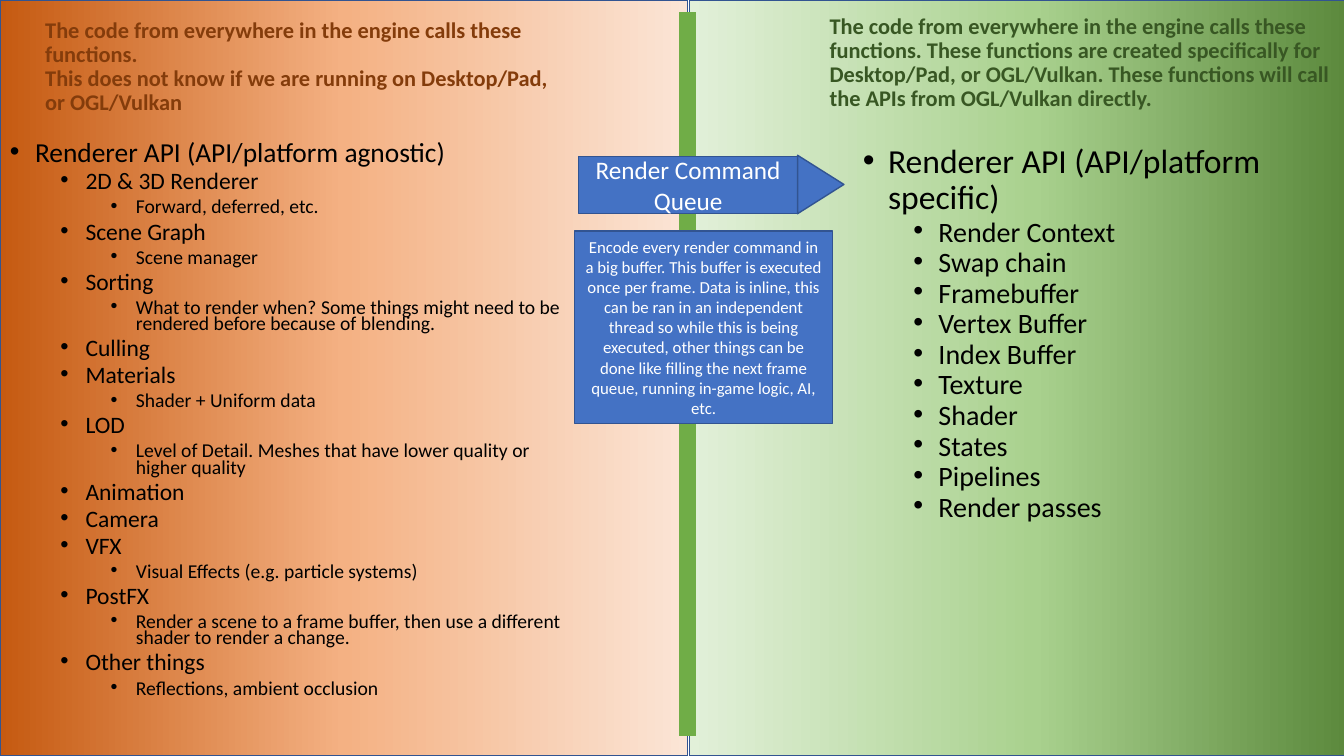
"""Build the slide that sets the agnostic renderer API beside the specific one."""
from copy import deepcopy
from dataclasses import dataclass

from lxml import etree
from pptx import Presentation
from pptx import util as u
from pptx.dml import color
from pptx.enum import shapes, text
from pptx.oxml import ns

RGB = color.RGBColor
DARK_GREEN, GREEN, PALE_GREEN = RGB(0x54, 0x82, 0x35), RGB(0xA9, 0xD1, 0x8E), RGB(0xE2, 0xF0, 0xD9)
PALE_ORANGE, ORANGE, DARK_ORANGE = RGB(0xFB, 0xE5, 0xD6), RGB(0xF4, 0xB1, 0x83), RGB(0xC5, 0x5A, 0x11)
BROWN, FOREST = RGB(0x84, 0x3C, 0x0B), RGB(0x38, 0x57, 0x23)
BLUE, NAVY = RGB(0x44, 0x72, 0xC4), RGB(0x32, 0x54, 0x91)
DIVIDER = RGB(0x70, 0xAD, 0x47)
WHITE, BLACK = RGB(0xFF, 0xFF, 0xFF), RGB(0, 0, 0)
FONT = "Calibri"


@dataclass
class Box:
    left: float
    top: float
    width: float
    height: float

    def emu(self) -> list:
        return [u.Inches(v) for v in (self.left, self.top, self.width, self.height)]


@dataclass
class Panel:
    box: Box
    stops: tuple


@dataclass
class Caption:
    box: Box
    words: str
    color: RGB


@dataclass
class Outline:
    box: Box
    items: list
    sizes: tuple
    head_spacing: float


@dataclass
class Block:
    kind: shapes.MSO_SHAPE
    box: Box
    words: str = ""
    size: float = 18
    rotation: float = 0


PANELS = [
    Panel(Box(6.84, 0, 6.82, 7.5), (DARK_GREEN, GREEN, PALE_GREEN)),
    Panel(Box(0, 0, 6.82, 7.5), (PALE_ORANGE, ORANGE, DARK_ORANGE)),
]
AGNOSTIC_NOTE = Caption(
    Box(0.35, 0.44, 5.28, 0.46),
    "The code from everywhere in the engine calls these functions.\n"
    "This does not know if we are running on Desktop/Pad, or OGL/Vulkan", BROWN)
SPECIFIC_NOTE = Caption(
    Box(8.13, 0.4, 5.28, 0.46),
    "The code from everywhere in the engine calls these functions. These functions are created "
    "specifically for Desktop/Pad, or OGL/Vulkan. These functions will call the APIs from "
    "OGL/Vulkan directly.", FOREST)
SPECIFIC = Outline(
    Box(8.46, 1.38, 5.1, 5.29),
    [(0, "Renderer API (API/platform specific)")] + [(1, name) for name in (
        "Render Context", "Swap chain", "Framebuffer", "Vertex Buffer", "Index Buffer",
        "Texture", "Shader", "States", "Pipelines", "Render passes")],
    (24, 20), 0.9)
AGNOSTIC = Outline(
    Box(0, 1.38, 5.8, 5.67),
    [(0, "Renderer API (API/platform agnostic)"),
     (1, "2D & 3D Renderer"),
     (2, "Forward, deferred, etc."),
     (1, "Scene Graph"),
     (2, "Scene manager"),
     (1, "Sorting"),
     (2, "What to render when? Some things might need to be rendered before because of blending."),
     (1, "Culling"),
     (1, "Materials"),
     (2, "Shader + Uniform data"),
     (1, "LOD"),
     (2, "Level of Detail. Meshes that have lower quality or higher quality"),
     (1, "Animation"),
     (1, "Camera"),
     (1, "VFX"),
     (2, "Visual Effects (e.g. particle systems)"),
     (1, "PostFX"),
     (2, "Render a scene to a frame buffer, then use a different shader to render a change."),
     (1, "Other things"),
     (2, "Reflections, ambient occlusion")],
    (19.6, 16.8, 14), 0.7)
QUEUE = [
    Block(shapes.MSO_SHAPE.RECTANGLE, Box(5.7, 2.29, 2.56, 1.91),
          "Encode every render command in a big buffer. This buffer is executed once per frame. "
          "Data is inline, this can be ran in an independent thread so while this is being "
          "executed, other things can be done like filling the next frame queue, running in-game "
          "logic, AI, etc.", 12),
    Block(shapes.MSO_SHAPE.RECTANGLE, Box(5.74, 1.55, 2.17, 0.57), "Render Command Queue"),
    Block(shapes.MSO_SHAPE.ISOSCELES_TRIANGLE, Box(7.85, 1.6, 0.58, 0.46), rotation=90),
]


def apply(target: object, formats: dict) -> None:
    """Set each format value on the target."""
    for name, value in formats.items():
        setattr(target, name, value)


def write(p, words: str, size: float, rgb: RGB, bold: bool = False, **formats) -> None:
    """Fill a paragraph and format it with its runs."""
    p.text = words
    apply(p, formats)
    for r in p.runs:
        apply(r.font, {"name": FONT, "size": u.Pt(size), "bold": bold})
        r.font.color.rgb = rgb


def add_bullet(p, level: int) -> None:
    """Give a paragraph a hanging bullet for its level."""
    pPr = p._p.get_or_add_pPr()
    pPr.set("marL", str(u.Inches(0.25 + 0.5 * level)))
    pPr.set("indent", str(u.Inches(-0.25)))
    etree.SubElement(pPr, ns.qn("a:buFont")).set("typeface", "Arial")
    etree.SubElement(pPr, ns.qn("a:buChar")).set("char", "•")


def add_outlined(s, kind: shapes.MSO_SHAPE, box: Box):
    """Add a shape with the thin navy outline."""
    sp = s.shapes.add_shape(kind, *box.emu())
    sp.shadow.inherit = False
    sp.line.color.rgb = NAVY
    sp.line.width = u.Pt(1)
    return sp


def add_panel(s, panel: Panel) -> None:
    """Add a background half with a three-stop gradient."""
    fill = add_outlined(s, shapes.MSO_SHAPE.RECTANGLE, panel.box).fill
    fill.gradient()
    fill.gradient_angle = 180
    last = fill._fill._gradFill.gsLst[-1]
    last.addnext(deepcopy(last))
    for i, (stop, rgb) in enumerate(zip(fill.gradient_stops, panel.stops)):
        stop.position = i / 2
        stop.color.rgb = rgb


def add_text_frame(s, box: Box, anchor: text.MSO_ANCHOR):
    """Add a wrapping text box and return its frame."""
    tf = s.shapes.add_textbox(*box.emu()).text_frame
    apply(tf, {"word_wrap": True, "vertical_anchor": anchor})
    return tf


def add_caption(s, note: Caption) -> None:
    """Add a bold note above a half."""
    tf = add_text_frame(s, note.box, text.MSO_ANCHOR.MIDDLE)
    write(tf.paragraphs[0], note.words, 16, note.color, True, line_spacing=0.9)


def add_outline(s, outline: Outline) -> None:
    """Add a bulleted list with nested levels."""
    tf = add_text_frame(s, outline.box, text.MSO_ANCHOR.TOP)
    for i, (level, words) in enumerate(outline.items):
        p = tf.add_paragraph() if i else tf.paragraphs[0]
        write(p, words, outline.sizes[level], BLACK, level=level,
              line_spacing=0.7 if level else outline.head_spacing,
              space_before=u.Pt(5 if level else 10))
        add_bullet(p, level)


def add_divider(s) -> None:
    """Add the thick line between the halves."""
    line = s.shapes.add_connector(shapes.MSO_CONNECTOR.STRAIGHT, u.Inches(6.82), u.Inches(0.12),
                                  u.Inches(6.82), u.Inches(7.3))
    line.line.color.rgb = DIVIDER
    line.line.width = u.Pt(12)
    etree.SubElement(line._element.spPr, ns.qn("a:effectLst"))


def add_block(s, block: Block) -> None:
    """Add a blue part of the command queue."""
    sp = add_outlined(s, block.kind, block.box)
    sp.rotation = block.rotation
    sp.fill.solid()
    sp.fill.fore_color.rgb = BLUE
    if block.words:
        apply(sp.text_frame, {"word_wrap": True, "vertical_anchor": text.MSO_ANCHOR.MIDDLE})
        write(sp.text_frame.paragraphs[0], block.words, block.size, WHITE,
              alignment=text.PP_ALIGN.CENTER)


def main() -> None:
    """Draw the slide from back to front and save it."""
    prs = Presentation()
    apply(prs, {"slide_width": u.Inches(13.33), "slide_height": u.Inches(7.5)})
    s = prs.slides.add_slide(prs.slide_layouts[6])
    for panel in PANELS:
        add_panel(s, panel)
    add_caption(s, AGNOSTIC_NOTE)
    add_outline(s, SPECIFIC)
    add_outline(s, AGNOSTIC)
    add_divider(s)
    add_caption(s, SPECIFIC_NOTE)
    for block in QUEUE:
        add_block(s, block)
    prs.save("out.pptx")


if __name__ == "__main__":
    main()
